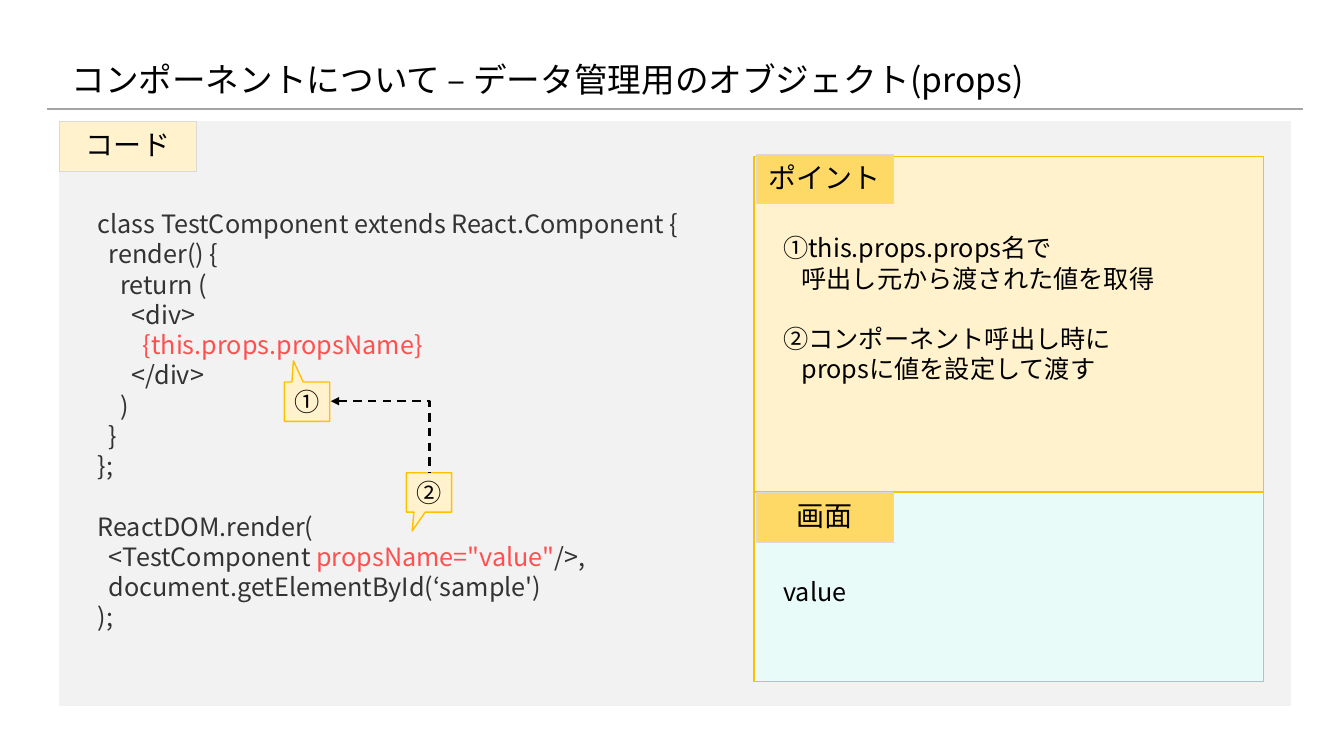
from lxml import etree
from pptx import Presentation
from pptx.dml.color import RGBColor
from pptx.enum.dml import MSO_LINE
from pptx.enum.shapes import MSO_CONNECTOR, MSO_SHAPE
from pptx.enum.text import MSO_ANCHOR, PP_ALIGN
from pptx.oxml.ns import qn
from pptx.util import Pt

BLACK = RGBColor(0x00, 0x00, 0x00)
CODE_GRAY = RGBColor(0x33, 0x33, 0x33)
CODE_RED = RGBColor(0xFF, 0x50, 0x50)
RULE_GRAY = RGBColor(0xA5, 0xA5, 0xA5)
TAG_LINE = RGBColor(0xD9, 0xD9, 0xD9)
PANEL_GRAY = RGBColor(0xF2, 0xF2, 0xF2)
CREAM = RGBColor(0xFF, 0xF2, 0xCC)
GOLD = RGBColor(0xFF, 0xD9, 0x66)
AMBER = RGBColor(0xFF, 0xC0, 0x00)
MINT = RGBColor(0xE9, 0xFB, 0xF9)

FONT = "Noto Sans CJK JP"
LINE_PITCH = Pt(21.6)
SCALE = 9144

CODE = [
    [
        ["class TestComponent extends React.Component {"],
        ["  render() {"],
        ["    return ("],
        ["      <div>"],
        ["        ", "{this.props.propsName}"],
        ["      </div>"],
        ["    )"],
        ["  }"],
        ["};"],
    ],
    [
        ["ReactDOM.render("],
        ["  <TestComponent ", 'propsName="value"', "/>,"],
        ["  document.getElementById(‘sample')"],
        [");"],
    ],
]
POINTS = [
    [["①this.props.props名で"], ["呼出し元から渡された値を取得"]],
    [["②コンポーネント呼出し時に"], ["propsに値を設定して渡す"]],
]


def px(*lengths):
    return [length * SCALE for length in lengths]


def write_text(frame, sections, size=18, color=BLACK, align=PP_ALIGN.LEFT,
               anchor=MSO_ANCHOR.TOP, spacing=LINE_PITCH, indent=0):
    frame.word_wrap = True
    frame.vertical_anchor = anchor
    paragraph = None
    for section in sections:
        for position, segments in enumerate(section):
            starts_section = paragraph is not None and position == 0
            paragraph = frame.add_paragraph() if paragraph is not None else frame.paragraphs[0]
            paragraph.alignment = align
            paragraph.line_spacing = spacing
            paragraph.space_before = LINE_PITCH if starts_section else Pt(0)
            if position and indent:
                paragraph._p.get_or_add_pPr().set("marL", str(indent * SCALE))
            for order, segment in enumerate(segments):
                run = paragraph.add_run()
                run.text = segment
                run.font.size = Pt(size)
                run.font.name = FONT
                run.font.color.rgb = CODE_RED if order % 2 else color
                east_asian = etree.SubElement(run._r.get_or_add_rPr(), qn("a:ea"))
                east_asian.set("typeface", FONT)


class PropsSlide:
    def __init__(self, presentation):
        self.slide = presentation.slides.add_slide(presentation.slide_layouts[5])
        self.shapes = self.slide.shapes

    def title(self, text, left, top, width, height):
        shape = self.shapes.title
        shape.left, shape.top, shape.width, shape.height = px(left, top, width, height)
        write_text(shape.text_frame, [[[text]]], size=24, spacing=0.9, anchor=MSO_ANCHOR.MIDDLE)

    def box(self, left, top, width, height, fill, line, weight=1, kind=MSO_SHAPE.RECTANGLE):
        shape = self.shapes.add_shape(kind, *px(left, top, width, height))
        shape.shadow.inherit = False
        shape.fill.solid()
        shape.fill.fore_color.rgb = fill
        shape.line.color.rgb = line
        shape.line.width = Pt(weight)
        return shape

    def tag(self, text, left, top, fill):
        shape = self.box(left, top, 136, 49, fill, TAG_LINE, weight=0.75)
        write_text(shape.text_frame, [[[text]]], size=20, align=PP_ALIGN.CENTER,
                   anchor=MSO_ANCHOR.MIDDLE, spacing=0.9)

    def callout(self, text, left, top, tip):
        shape = self.box(left, top, 45, 39, CREAM, AMBER, kind=MSO_SHAPE.RECTANGULAR_CALLOUT)
        shape.adjustments[0], shape.adjustments[1] = tip
        frame = shape.text_frame
        frame.margin_left = frame.margin_right = frame.margin_top = frame.margin_bottom = 0
        write_text(frame, [[[text]]], align=PP_ALIGN.CENTER, anchor=MSO_ANCHOR.MIDDLE)

    def text(self, sections, left, top, width, height, **style):
        shape = self.shapes.add_textbox(*px(left, top, width, height))
        write_text(shape.text_frame, sections, **style)

    def line(self, start, end, color, kind=MSO_CONNECTOR.STRAIGHT):
        connector = self.shapes.add_connector(kind, *px(*start, *end))
        connector.line.color.rgb = color
        connector.line.width = Pt(1.5)
        etree.SubElement(connector._element.spPr, qn("a:effectLst"))
        return connector

    def corner_arrow(self, head, tail):
        connector = self.line(head, tail, BLACK, kind=MSO_CONNECTOR.ELBOW)
        connector.line.dash_style = MSO_LINE.DASH
        properties = connector._element.spPr
        properties.find(qn("a:prstGeom")).set("prst", "bentConnector2")
        arrowhead = etree.SubElement(properties.find(qn("a:ln")), qn("a:headEnd"))
        arrowhead.set("type", "triangle")


def main():
    presentation = Presentation()
    presentation.slide_width, presentation.slide_height = px(1333, 750)
    slide = PropsSlide(presentation)

    slide.line((47, 108), (1292, 108), RULE_GRAY)
    slide.title("コンポーネントについて – データ管理用のオブジェクト(props)", 61, 31, 1070, 100)

    slide.box(59, 121, 1221, 579, PANEL_GRAY, PANEL_GRAY, weight=0.75)
    slide.tag("コード", 59, 121, CREAM)
    slide.text(CODE, 87, 202, 686, 434, color=CODE_GRAY)
    slide.callout("①", 282, 379, (-0.3, -1.04))
    slide.callout("②", 403, 469, (-0.37, 0.98))
    slide.corner_arrow((328, 398), (426, 469))

    slide.box(748, 155, 505, 334, CREAM, AMBER)
    slide.text(POINTS, 767, 226, 468, 192, indent=18)
    slide.tag("ポイント", 750, 153, GOLD)

    slide.box(748, 488, 505, 188, MINT, AMBER)
    slide.tag("画面", 750, 489, GOLD)
    slide.text([[["value"]]], 767, 567, 468, 71)

    presentation.save("out.pptx")


if __name__ == "__main__":
    main()
